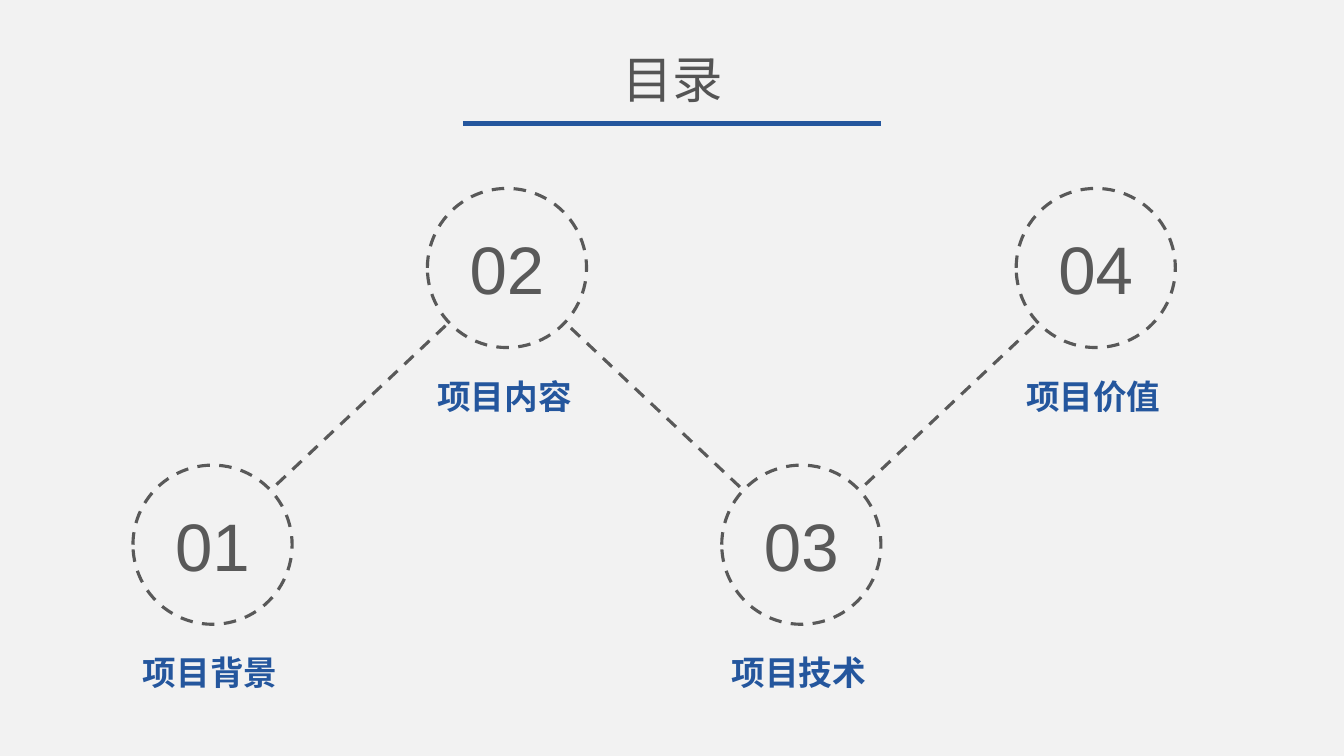
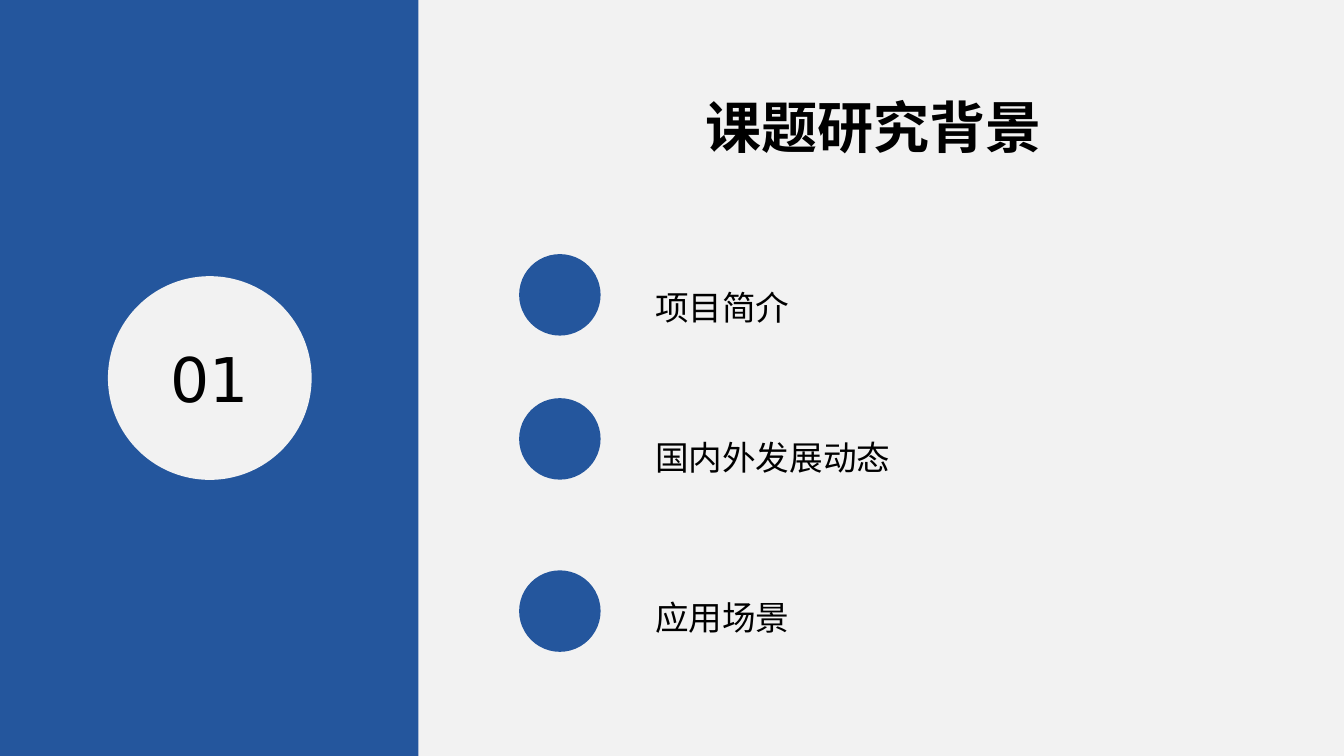
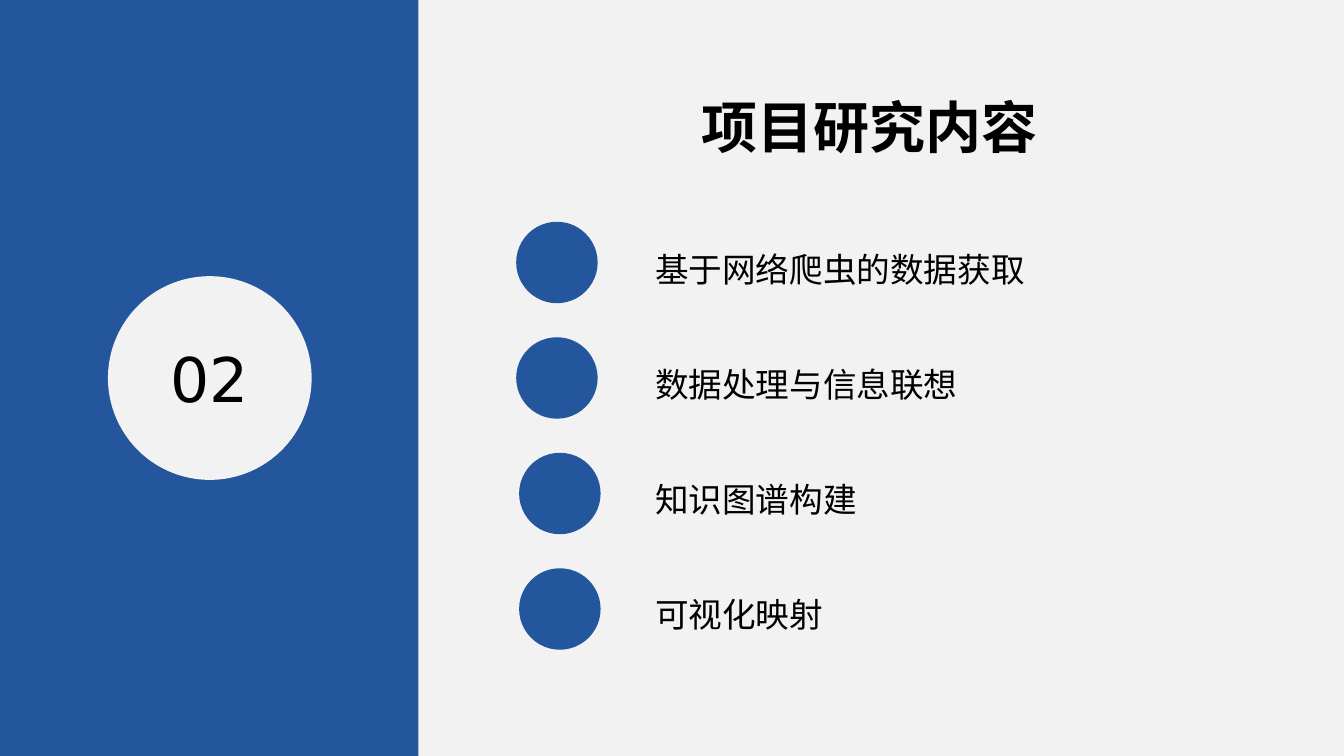
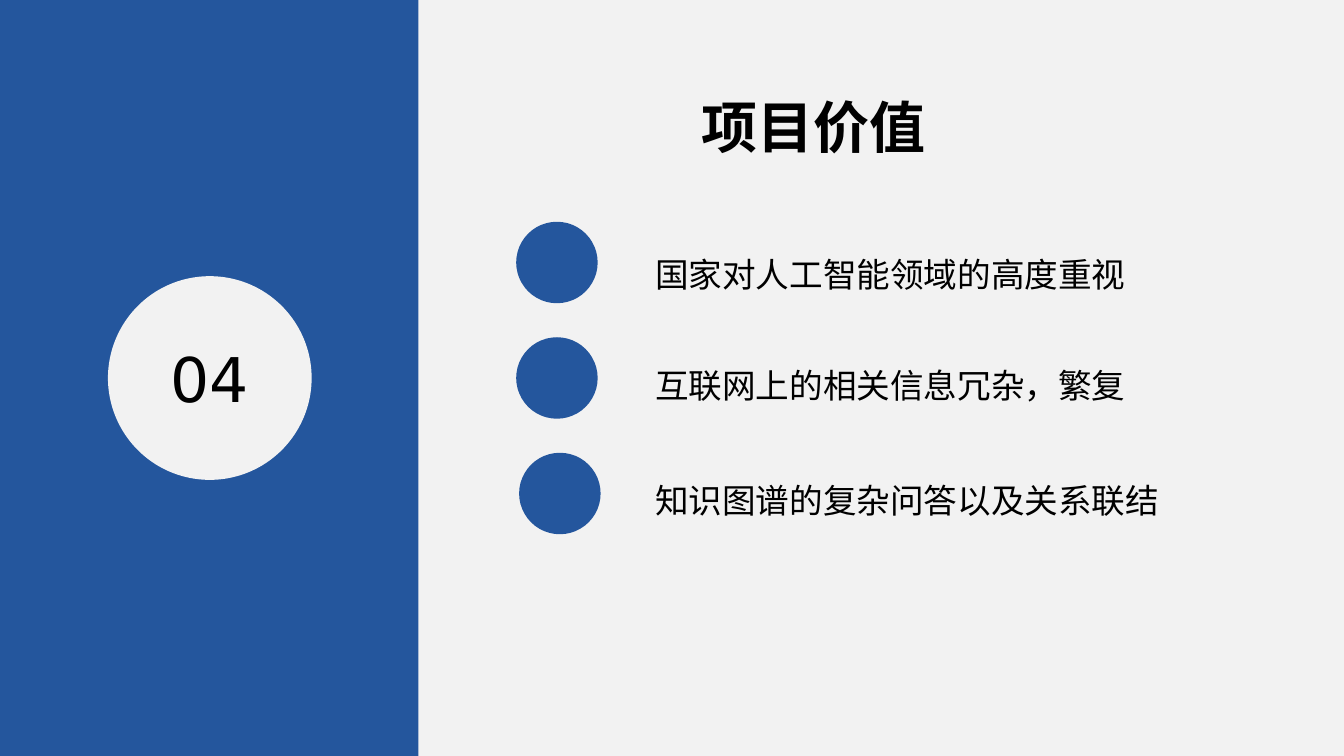
"""Build a contents slide and three chapter slides on a 32 by 18 grid."""
from dataclasses import dataclass
from itertools import pairwise

from lxml import etree
from pptx import Presentation
from pptx import util as u
from pptx.dml.color import RGBColor
from pptx.enum import dml, shapes, text
from pptx.oxml.ns import qn

COLORS = {"paper": "F2F2F2", "blue": "24569D", "grey": "595959", "title": "545454", "ink": "000000"}
SANS, CJK, ARIAL = "DejaVu Sans", "Noto Sans CJK SC", "Arial"
ROWS, COLS = 18, 32
CELL = u.Inches(7.5) / ROWS
LEFT, CENTER = text.PP_ALIGN.LEFT, text.PP_ALIGN.CENTER
OVAL, RECT = shapes.MSO_SHAPE.OVAL, shapes.MSO_SHAPE.RECTANGLE
NODE, DOT, BADGE = 3.79, 1.94, 4.85
LINE_PT = 36


@dataclass
class Node:
    number: str
    label: str
    col: float
    row: float


@dataclass
class Item:
    label: str
    text_row: float
    dot_row: float
    dot_col: float = 12.36


@dataclass
class Chapter:
    number: str
    title: str
    title_col: float
    items: list[Item]


NODES = [
    Node(f"{i + 1:02}", label, 5.06 + 7.01 * i, 6.38 if i % 2 else 12.97)
    for i, label in enumerate(["项目背景", "项目内容", "项目技术", "项目价值"])
]
CHAPTERS = [
    Chapter("01", "课题研究背景", 16.56, [
        Item("项目简介", 6.43, 6.05),
        Item("国内外发展动态", 9.98, 9.48),
        Item("应用场景", 13.78, 13.58),
    ]),
    Chapter("02", "项目研究内容", 16.46, [
        Item("基于网络爬虫的数据获取", 5.52, 5.28, 12.29),
        Item("数据处理与信息联想", 8.27, 8.03, 12.29),
        Item("知识图谱构建", 11.02, 10.78),
        Item("可视化映射", 13.77, 13.53),
    ]),
    Chapter("04", "项目价值", 16.46, [
        Item("国家对人工智能领域的高度重视", 5.64, 5.28, 12.29),
        Item("互联网上的相关信息冗杂，繁复", 8.27, 8.03, 12.29),
        Item("知识图谱的复杂问答以及关系联结", 11.02, 10.78),
    ]),
]


def cells(*values: float) -> list[u.Emu]:
    """Turn grid units into lengths."""
    return [u.Emu(round(v * CELL)) for v in values]


def rgb(name: str) -> RGBColor:
    """Look up a colour."""
    return RGBColor.from_string(COLORS[name])


def style(p, size: float, font: str, color: str, bold: bool = False, align=LEFT) -> None:
    """Format a paragraph and its runs."""
    p.alignment = align
    for r in p.runs:
        r.font.size, r.font.name, r.font.bold = u.Pt(size), font, bold
        r.font.color.rgb = rgb(color)
        etree.SubElement(r.font._element, qn("a:ea")).set("typeface", CJK)


def place(sp, col: float, row: float, width: float, height: float) -> None:
    """Move a placeholder to a grid area."""
    sp.left, sp.top, sp.width, sp.height = cells(col, row, width, height)
    sp.text_frame.auto_size = text.MSO_AUTO_SIZE.NONE
    sp.text_frame.word_wrap = True


def add_title(s, title: str, area: tuple[float, ...], **look) -> None:
    """Fill the title placeholder."""
    sp = s.shapes.title
    place(sp, *area)
    tf = sp.text_frame
    tf.vertical_anchor = text.MSO_ANCHOR.MIDDLE
    tf.text = title
    style(tf.paragraphs[0], **look)


def add_shape(s, kind, col: float, row: float, width: float, height: float, fill: str):
    """Add a flat shape without outline."""
    sp = s.shapes.add_shape(kind, *cells(col, row, width, height))
    sp.shadow.inherit = False
    sp.fill.solid()
    sp.fill.fore_color.rgb = rgb(fill)
    sp.line.fill.background()
    return sp


def write_number(sp, number: str, size: float, font: str, color: str) -> None:
    """Centre a number in a circle."""
    tf = sp.text_frame
    tf.vertical_anchor = text.MSO_ANCHOR.MIDDLE
    tf.text = number
    style(tf.paragraphs[0], size, font, color, align=CENTER)


def set_line(line, color: str, width: float, dashed: bool) -> None:
    """Format an outline or connector."""
    line.color.rgb = rgb(color)
    line.width = u.Pt(width)
    if dashed:
        line.dash_style = dml.MSO_LINE.DASH


def add_line(s, ends: tuple[float, ...], color: str, width: float, dashed: bool = False) -> None:
    """Draw a straight connector."""
    cx = s.shapes.add_connector(shapes.MSO_CONNECTOR.STRAIGHT, *cells(*ends))
    set_line(cx.line, color, width, dashed)
    etree.SubElement(cx._element.spPr, qn("a:effectLst"))


def add_node(s, node: Node) -> None:
    """Draw a dashed circle with its label below."""
    left = node.col - NODE / 2
    sp = add_shape(s, OVAL, left, node.row - NODE / 2, NODE, NODE, "paper")
    set_line(sp.line, "grey", 2.25, True)
    write_number(sp, node.number, 48, ARIAL, "grey")
    tf = s.shapes.add_textbox(*cells(left, node.row + 2.44, NODE, 1.2)).text_frame
    tf.word_wrap = True
    tf.vertical_anchor = text.MSO_ANCHOR.MIDDLE
    tf.text = node.label
    style(tf.paragraphs[0], 24, SANS, "blue", bold=True)


def add_contents(prs) -> None:
    """Build the contents slide."""
    s = prs.slides.add_slide(prs.slide_layouts[5])
    add_title(s, "目录", (12.17, 1.03, 7.68, 1.68), size=36, font=CJK, color="title", align=CENTER)
    add_line(s, (11.02, 2.95, 20.98, 2.95), "blue", 3.5)
    for a, b in pairwise(NODES):
        add_line(s, (a.col, a.row, b.col, b.row), "grey", 2.25, True)
    for node in NODES:
        add_node(s, node)


def add_list(s, items: list[Item]) -> None:
    """Fill the body placeholder, spacing each line to its row."""
    sp = s.placeholders[1]
    first = items[0].text_row
    place(sp, 15.36, first + 0.05, 15.58, items[-1].text_row - first + 1.5)
    tf = sp.text_frame
    tf.vertical_anchor = text.MSO_ANCHOR.TOP
    tf.text = "\n".join(item.label for item in items)
    rows = [item.text_row for item in items]
    gaps = [0] + [(b - a) * CELL / u.Pt(1) - LINE_PT for a, b in pairwise(rows)]
    for p, gap in zip(tf.paragraphs, gaps):
        pPr = p._p.get_or_add_pPr()
        pPr.set("marL", "0")
        pPr.set("indent", "0")
        etree.SubElement(pPr, qn("a:buNone"))
        p.line_spacing, p.space_before, p.space_after = u.Pt(LINE_PT), u.Pt(round(gap)), u.Pt(0)
        style(p, 24, CJK, "ink")


def add_chapter(prs, chapter: Chapter) -> None:
    """Build a chapter slide."""
    s = prs.slides.add_slide(prs.slide_layouts[1])
    add_shape(s, RECT, 0, 0, 9.96, ROWS, "blue")
    badge = add_shape(s, OVAL, 2.57, (ROWS - BADGE) / 2, BADGE, BADGE, "paper")
    write_number(badge, chapter.number, 44, SANS, "ink")
    add_title(s, chapter.title, (chapter.title_col, 2.09, 8.81, 1.82),
              size=40, font=SANS, color="ink", bold=True)
    for item in chapter.items:
        add_shape(s, OVAL, item.dot_col, item.dot_row, DOT, DOT, "blue")
    add_list(s, chapter.items)


def main() -> None:
    """Build and save the presentation."""
    prs = Presentation()
    prs.slide_width, prs.slide_height = cells(COLS, ROWS)
    fill = prs.slide_master.background.fill
    fill.solid()
    fill.fore_color.rgb = rgb("paper")
    add_contents(prs)
    for chapter in CHAPTERS:
        add_chapter(prs, chapter)
    prs.save("out.pptx")


if __name__ == "__main__":
    main()
